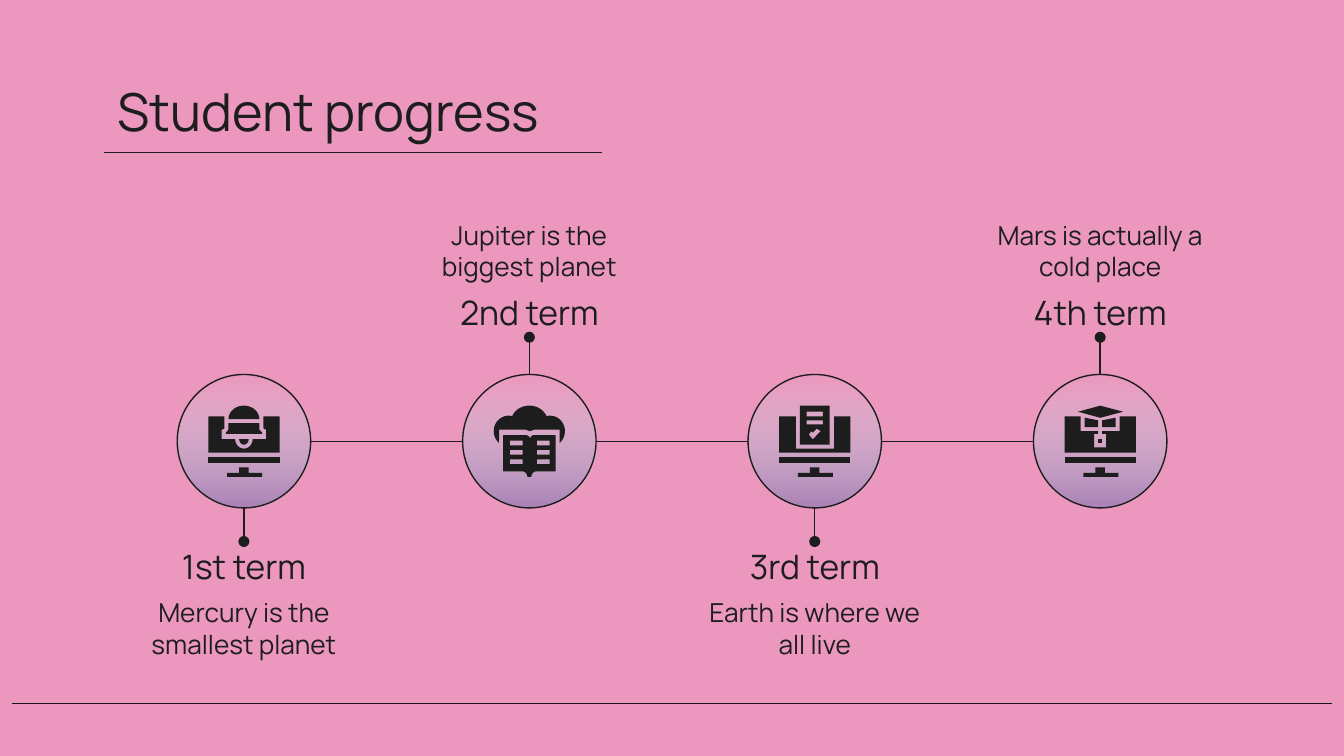
from math import cos, radians, sin
from typing import NamedTuple

from pptx import Presentation
from pptx.dml.color import RGBColor
from pptx.enum.shapes import MSO_CONNECTOR as Connector, MSO_SHAPE as Preset
from pptx.enum.text import MSO_ANCHOR as Anchor, PP_ALIGN as Align
from pptx.oxml.ns import qn
from pptx.oxml.xmlchemy import OxmlElement
from pptx.util import Pt

COLORS = {"page": "EB97BE", "ink": "1D1D1D", "rule": "141414",
          "mint": "CCE9E9", "violet": "A982B6"}
FONT = "Manrope"
GRID = 53
TERMS = [
    ("1st term", "Mercury is the smallest planet", "bell", True),
    ("2nd term", "Jupiter is the biggest planet", "book", False),
    ("3rd term", "Earth is where we all live", "test", True),
    ("4th term", "Mars is actually a cold place", "cap", False),
]


class Box(NamedTuple):
    left: float
    top: float
    width: float
    height: float

    def lengths(self):
        return [Pt(value) for value in self]


def rgb(name):
    return RGBColor.from_string(COLORS[name])


def rect(left, top, right, bottom):
    return [(left, top), (left, bottom), (right, bottom), (right, top)]


def arc(x, y, across, down, start, end, steps=16):
    angles = [radians(start + (end - start) * i / steps) for i in range(steps + 1)]
    return [(x + across * cos(angle), y + down * sin(angle)) for angle in angles]


def screen(notch):
    return [[(0, 8), (0, 35), (53, 35), (53, 8), *notch]]


STAND = [(23, 46), (23, 50), (14, 50), (14, 53), (40, 53), (40, 50), (30, 50), (30, 46)]
MONITOR = [[STAND], [rect(0, 38, 53, 43)]]
ICONS = {
    "bell": MONITOR + [
        [[(15, 13), (15, 18), (13, 20), (13, 21), (40, 21), (40, 20), (38, 18), (38, 13)]],
        [arc(26.5, 10, 11.5, 10, 180, 360)],
        [arc(26.5, 25, 3.5, 4, 0, 180)],
        screen([(41, 8), (41, 17), (43, 18), (43, 25), *arc(26.5, 25, 6.5, 7, 0, 180),
                (10, 25), (10, 18), (12, 17), (12, 8)]),
    ],
    "book": [
        [[(7, 22), (7, 49), *arc(21.5, 53, 3.5, 4, -90, 0), *arc(31.5, 53, 3.5, 4, 180, 270),
          (46, 49), (46, 22), *arc(30, 25, 3, 3, 270, 180), *arc(24, 25, 3, 3, 0, -90)],
         *[rect(left, top, left + 9.5, top + 3.5)
           for top in (26, 33, 40) for left in (12, 32)]],
        [[*arc(26.5, 13, 14, 13, -25, -155), *arc(11, 19, 11, 11.5, -75, -230),
          (4, 18), (24, 18), (27, 19), (30, 18), (49, 18),
          *arc(42, 19, 11, 11.5, 50, -105)]],
    ],
    "test": MONITOR + [
        screen([(41, 8), (41, 32), (12.5, 32), (12.5, 8)]),
        [rect(15.5, 0, 37.5, 29), rect(20.5, 4.5, 32.5, 8), rect(20.5, 11, 32.5, 14),
         [(28, 17), (31, 19), (25, 25), (22, 21.5), (24, 19), (25, 20)]],
    ],
    "cap": MONITOR + [
        [[(26.5, 0), (10, 4.5), (26.5, 9), (43.5, 4.5)]],
        [[(15, 9), (15, 16), (25, 16), (25, 11)]],
        [[(38, 9), (28, 11), (28, 16), (38, 16)]],
        screen([(41, 8), (41, 19), (28, 19), (28, 21), (31, 21), (31, 31),
                (22, 31), (22, 21), (25, 21), (25, 19), (12, 19), (12, 8)]),
        [rect(25, 25, 28, 28)],
    ],
}


def add_text(page, box, text, size=14, align=Align.CENTER, color="ink"):
    shape = page.shapes.add_textbox(*box.lengths())
    frame = shape.text_frame
    frame.word_wrap = True
    frame.vertical_anchor = Anchor.MIDDLE
    frame.margin_left = frame.margin_right = Pt(7.2)
    frame.margin_top = frame.margin_bottom = Pt(7.2)
    para = frame.paragraphs[0]
    para.alignment = align
    span = para.add_run()
    span.text = text
    span.font.name = FONT
    span.font.size = Pt(size)
    span.font.color.rgb = rgb(color)
    return shape


def add_line(page, start, end, color="ink", dot=False):
    line = page.shapes.add_connector(
        Connector.STRAIGHT, *[Pt(value) for value in (*start, *end)])
    line.line.color.rgb = rgb(color)
    line.line.width = Pt(0.75)
    if dot:
        tail = OxmlElement("a:tailEnd")
        tail.set("type", "oval")
        line.line._get_or_add_ln().append(tail)
    line._element.spPr.append(OxmlElement("a:effectLst"))
    return line


def add_circle(page, box):
    circle = page.shapes.add_shape(Preset.OVAL, *box.lengths())
    circle.shadow.inherit = False
    circle.fill.gradient()
    circle.fill.gradient_angle = 270
    for stop, color, position in zip(circle.fill.gradient_stops, ("mint", "violet"), (0, 1)):
        stop.color.rgb = rgb(color)
        stop.position = position
    alpha = OxmlElement("a:alpha")
    alpha.set("val", "0")
    next(circle._element.spPr.iter(qn("a:srgbClr"))).append(alpha)
    circle.line.color.rgb = rgb("ink")
    circle.line.width = Pt(0.75)


def add_icon(page, box, parts):
    group = page.shapes.add_group_shape()
    unit = Pt(box.width) / GRID
    for contours in parts:
        outlines = [[(x * unit, y * unit) for x, y in points] for points in contours]
        builder = group.shapes.build_freeform(*outlines[0][0])
        builder.add_line_segments(outlines[0][1:], close=True)
        for outline in outlines[1:]:
            builder.move_to(*outline[0])
            builder.add_line_segments(outline[1:], close=True)
        shape = builder.convert_to_shape(Pt(box.left), Pt(box.top))
        shape.shadow.inherit = False
        shape.fill.solid()
        shape.fill.fore_color.rgb = rgb("ink")
        shape.line.fill.background()


def add_term(page, box, term, note, icon, below):
    size, icon_size = 71.5, 38.16
    center = box.left + box.width / 2
    middle = box.top + box.height / 2
    add_circle(page, Box(center - size / 2, middle - size / 2, size, size))
    add_icon(page, Box(center - icon_size / 2, middle - icon_size / 2, icon_size, icon_size),
             ICONS[icon])
    term_top = box.top + (174.2 if below else 38.2)
    note_top = box.top + (202.3 if below else 0)
    heading = add_text(page, Box(box.left, term_top, box.width, 26.6), term, size=18)
    add_text(page, Box(box.left, note_top, box.width, 36.7), note)
    edge = middle + (size / 2 if below else -size / 2)
    stem = add_line(page, (center, edge), (center, term_top), dot=True)
    stem.end_connect(heading, 0 if below else 2)


def add_timeline(page, box):
    width, radius = 140.4, 35.75
    pitch = (box.width - width) / (len(TERMS) - 1)
    middle = box.top + box.height / 2
    for index, term in enumerate(TERMS):
        left = box.left + index * pitch
        add_term(page, Box(left, box.top, width, box.height), *term)
        if index:
            center = left + width / 2
            add_line(page, (center - pitch + radius, middle), (center - radius, middle))


def add_title(page, box):
    add_text(page, box, "Student progress", size=28, align=Align.LEFT)
    bottom = box.top + box.height
    add_line(page, (box.left, bottom), (box.left + 266.6, bottom))


def main():
    deck = Presentation()
    deck.slide_width, deck.slide_height = Pt(720), Pt(405)
    page = deck.slides.add_slide(deck.slide_layouts[6])
    page.background.fill.solid()
    page.background.fill.fore_color.rgb = rgb("page")
    add_line(page, (6.5, 376.8), (713.5, 376.8), color="rule")
    add_title(page, Box(55.9, 36.6, 608.3, 45))
    add_timeline(page, Box(60.5, 115.9, 599.1, 241))
    deck.save("out.pptx")


if __name__ == "__main__":
    main()
